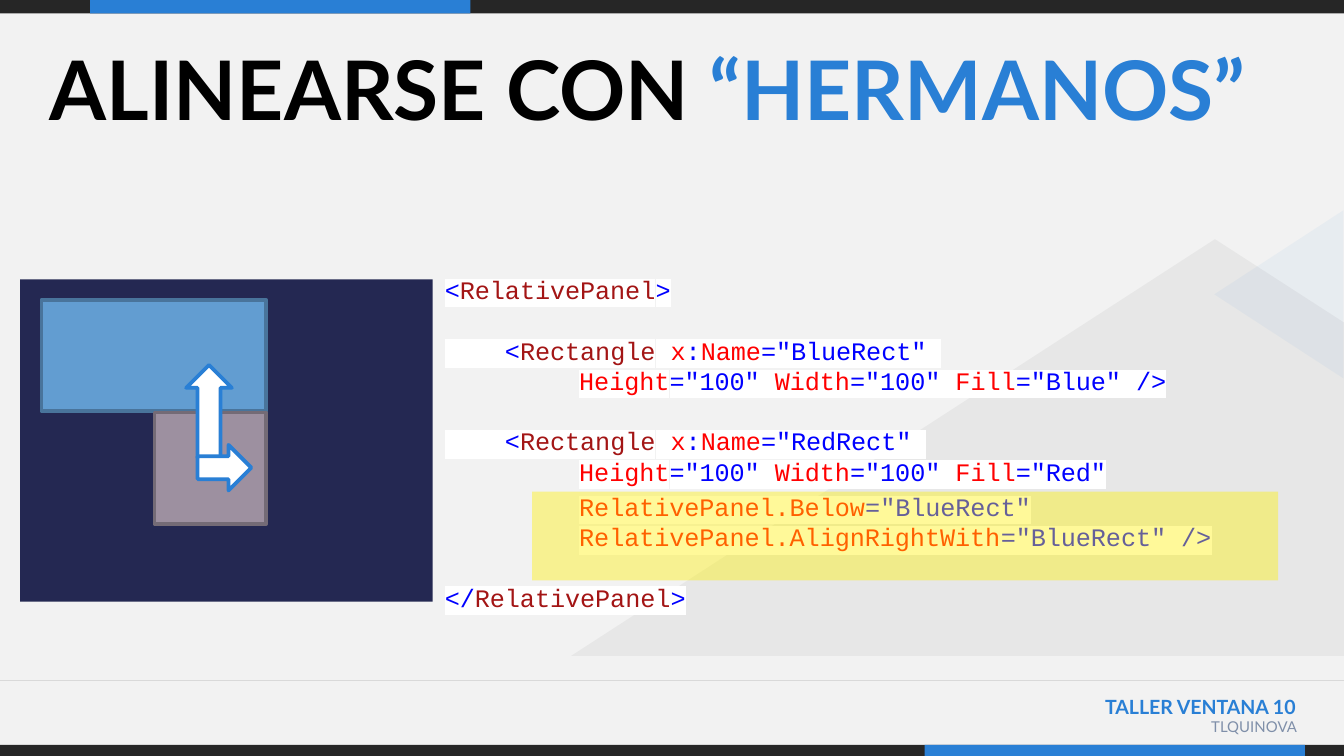
from lxml import etree
from pptx import Presentation
from pptx import util as u
from pptx.dml.color import RGBColor
from pptx.enum import shapes, text
from pptx.oxml.ns import qn

INK = RGBColor(0x26, 0x26, 0x26)
ACCENT = RGBColor(0x29, 0x7F, 0xD5)
PAPER = RGBColor(0xF2, 0xF2, 0xF2)
RULE = RGBColor(0xD9, 0xD9, 0xD9)
MUTED = RGBColor(0x7F, 0x8F, 0xA9)
NAVY = RGBColor(0x24, 0x28, 0x52)
SKY, SKY_EDGE = RGBColor(0x62, 0x9D, 0xD1), RGBColor(0x49, 0x74, 0x9B)
MAUVE, MAUVE_EDGE = RGBColor(0x9D, 0x90, 0xA0), RGBColor(0x74, 0x6B, 0x76)
YELLOW = RGBColor(0xFF, 0xF1, 0x00)
WHITE = RGBColor(0xFF, 0xFF, 0xFF)
BLACK = RGBColor(0, 0, 0)
BLUE, RED = RGBColor(0, 0, 0xFF), RGBColor(0xFF, 0, 0)
BROWN = RGBColor(0xA3, 0x15, 0x15)

WIDTH = u.Inches(10)
HEIGHT = WIDTH * 9 // 16
LINE = 16.2
KIND = shapes.MSO_SHAPE


def opening(name, fill):
    """Return the coloured runs that open one Rectangle element."""
    return [("    <", BLUE), ("Rectangle", BROWN), (" x", RED), (":", BLUE), ("Name", RED),
            (f'="{name}" ', BLUE), ("\n", BLUE), ("\tHeight", RED), ('="100"', BLUE),
            (" Width", RED), ('="100"', BLUE), (" Fill", RED), (f'="{fill}"', BLUE)]


TITLE = [("ALINEARSE CON ", BLACK), ("“HERMANOS”", ACCENT)]
CODE = [
    (0, [("<", BLUE), ("RelativePanel", BROWN), (">", BLUE)]),
    (LINE, opening("BlueRect", "Blue") + [(" />", BLUE)]),
    (LINE, opening("RedRect", "Red")),
    (2.7, [("\tRelativePanel.Below", RED), ('="BlueRect"', BLUE), ("\n", BLUE),
           ("\tRelativePanel.AlignRightWith", RED), ('="BlueRect" />', BLUE)]),
    (LINE, [("</", BLUE), ("RelativePanel", BROWN), (">", BLUE)]),
]
FOOTER = [
    ("TALLER VENTANA 10", (67.5, 91.1, 29.9, 7.12), 10.5, ACCENT, True),
    ("TLQUINOVA", (79.4, 94.1, 18.1, 5.52), 8, MUTED, False),
]
BARS = [
    ((0, 0, 100, 1.78), INK), ((6.7, 0, 28.3, 1.78), ACCENT),
    ((0, 98.55, 100, 1.45), INK), ((68.8, 98.55, 28.3, 1.45), ACCENT),
]
MOUNTAIN = [(100, 86.75), (100, 42.67), (90.4, 31.64), (42.5, 86.75)]
DIAGRAM = [
    (KIND.RECTANGLE, (1.5, 36.95, 30.7, 42.65), dict(fill=NAVY)),
    (KIND.RECTANGLE, (3.1, 39.65, 16.7, 14.75), dict(fill=SKY, line=SKY_EDGE)),
    (KIND.RECTANGLE, (11.5, 54.58, 8.3, 14.75), dict(fill=MAUVE, line=MAUVE_EDGE)),
    (KIND.LEFT_ARROW, (12.1, 51.4, 6.9, 6.04), dict(fill=WHITE, line=ACCENT, rotation=90)),
    (KIND.LEFT_ARROW, (14.7, 58.85, 4, 6.04), dict(fill=WHITE, line=ACCENT, rotation=180)),
    (KIND.RECTANGLE, (39.6, 65.05, 55.5, 11.73), dict(fill=YELLOW, opacity=40)),
]


def place(*shares):
    """Turn alternating percentages of slide width and height into lengths."""
    return [round(share * (HEIGHT if i % 2 else WIDTH) / 100) for i, share in enumerate(shares)]


def paint(shape, fill, line=None, opacity=100, rotation=0):
    """Give a shape its fill, outline, opacity and rotation."""
    shape.shadow.inherit = False
    shape.rotation = rotation
    shape.fill.solid()
    shape.fill.fore_color.rgb = fill
    if opacity < 100:
        colour = shape._element.spPr.find(qn("a:solidFill")).find(qn("a:srgbClr"))
        etree.SubElement(colour, qn("a:alpha"), val=str(opacity * 1000))
    if line is None:
        shape.line.fill.background()
    else:
        shape.line.color.rgb = line
        shape.line.width = u.Pt(2)


def write(paragraph, runs, size, font="Lato", bold=False, align=text.PP_ALIGN.LEFT,
          before=0, leading=None, highlight=None, tab=None):
    """Fill a paragraph with coloured runs in one format."""
    if tab:
        stops = etree.SubElement(paragraph._p.get_or_add_pPr(), qn("a:tabLst"))
        etree.SubElement(stops, qn("a:tab"), pos=str(tab), algn="l")
    paragraph.alignment = align
    paragraph.space_before = u.Pt(before)
    if leading:
        paragraph.line_spacing = u.Pt(leading)
    for words, colour in runs:
        if words == "\n":
            paragraph.add_line_break()
            continue
        run = paragraph.add_run()
        run.text = words
        run.font.size, run.font.bold = u.Pt(size), bold
        run.font.color.rgb = colour
        if highlight is not None:
            mark = etree.Element(qn("a:highlight"))
            etree.SubElement(mark, qn("a:srgbClr"), val=str(highlight))
            run._r.rPr.find(qn("a:solidFill")).addnext(mark)
        run.font.name = font


def frame_of(shape, anchor, inset_x, inset_y):
    """Set wrapping, anchor and insets, and return the text frame."""
    frame = shape.text_frame
    frame.word_wrap = True
    frame.auto_size = text.MSO_AUTO_SIZE.NONE
    frame.vertical_anchor = anchor
    frame.margin_left = frame.margin_right = u.Inches(inset_x)
    frame.margin_top = frame.margin_bottom = u.Inches(inset_y)
    return frame


def add_backdrop(slide):
    """Draw the bars, footer and pale mountains."""
    for box, colour in BARS:
        paint(slide.shapes.add_shape(KIND.RECTANGLE, *place(*box)), colour)
    for words, box, size, colour, bold in FOOTER:
        frame = frame_of(slide.shapes.add_textbox(*place(*box)), text.MSO_ANCHOR.TOP, 0.1, 0.05)
        write(frame.paragraphs[0], [(words, colour)], size, bold=bold, align=text.PP_ALIGN.RIGHT)
    rule = slide.shapes.add_connector(shapes.MSO_CONNECTOR.STRAIGHT, *place(0, 90, 100, 90))
    rule.line.color.rgb, rule.line.width = RULE, u.Pt(0.75)
    etree.SubElement(rule._element.spPr, qn("a:effectLst"))
    points = [place(*point) for point in MOUNTAIN]
    builder = slide.shapes.build_freeform(*points[0])
    builder.add_line_segments(points[1:], close=True)
    paint(builder.convert_to_shape(), INK, opacity=5)
    peak = slide.shapes.add_shape(KIND.ISOSCELES_TRIANGLE, *place(88.9, 30.4, 12.5, 17.07))
    paint(peak, ACCENT, opacity=5, rotation=270)


def main():
    """Build and save the slide."""
    presentation = Presentation()
    presentation.slide_width, presentation.slide_height = WIDTH, HEIGHT
    slide = presentation.slides.add_slide(presentation.slide_layouts[5])
    slide.background.fill.solid()
    slide.background.fill.fore_color.rgb = PAPER
    add_backdrop(slide)

    title = slide.shapes.title
    title.left, title.top, title.width, title.height = place(2.2, 2.95, 95.6, 14.4)
    frame = frame_of(title, text.MSO_ANCHOR.TOP, 0.15, 0.12)
    write(frame.paragraphs[0], TITLE, 44, bold=True)

    listing = slide.shapes.add_textbox(*place(31.6, 17.3, 68.4, 82.7))
    frame = frame_of(listing, text.MSO_ANCHOR.MIDDLE, 0.15, 0.12)
    for i, (before, runs) in enumerate(CODE):
        paragraph = frame.add_paragraph() if i else frame.paragraphs[0]
        write(paragraph, runs, 13.5, font="Courier New", before=before, leading=LINE,
              highlight=WHITE, tab=u.Inches(1))

    for kind, box, style in DIAGRAM:
        paint(slide.shapes.add_shape(kind, *place(*box)), **style)
    presentation.save("out.pptx")


if __name__ == "__main__":
    main()
